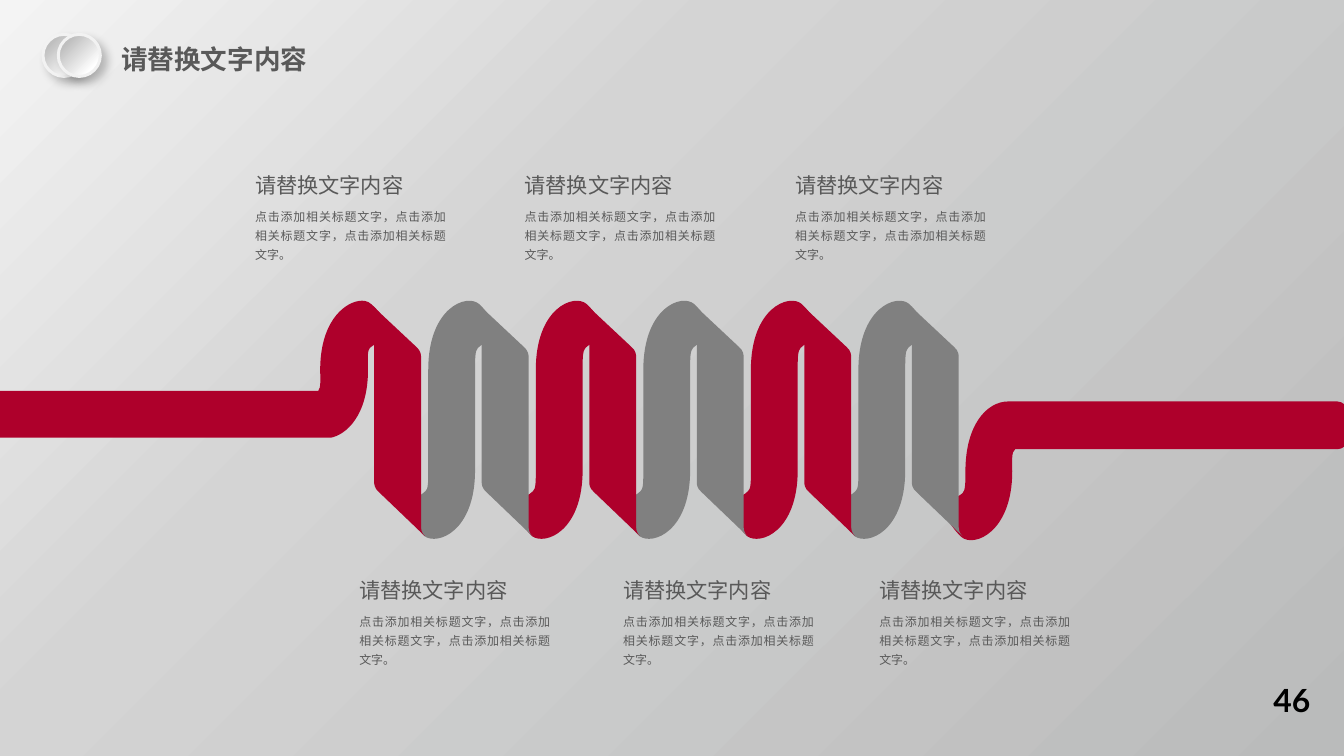
"""Build a slide with a ribbon coiled into six laps and six captions."""
from dataclasses import dataclass

from lxml.etree import SubElement
from pptx import Presentation
from pptx.dml.color import RGBColor
from pptx.dml.fill import FillFormat
from pptx.enum.shapes import MSO_SHAPE
from pptx.enum.text import PP_ALIGN
from pptx.oxml.ns import qn
from pptx.slide import Slide
from pptx.util import Inches, Pt

COLORS = {
    "red": "AE002B", "grey": "808080", "text": "595959", "black": "000000",
    "rim": "F2F2F2", "silver": "BFBFBF", "white": "FFFFFF",
    "bg_light": "F4F4F4", "bg_mid": "D4D4D4", "bg_dark": "BABBBB",
}
HEADING = "请替换文字内容"
BODY = "点击添加相关标题文字，点击添加相关标题文字，点击添加相关标题文字。"
LAPS = 6
PITCH = 4.5 / 4

Segment = tuple[float, ...]


@dataclass(frozen=True)
class Outline:
    start: tuple[float, float]
    segments: list[Segment]


@dataclass(frozen=True)
class Caption:
    left: float
    top: float


LOOP = Outline((4.97, 4.92), [
    (4.97, 3.87),
    (4.97, 3.75, 4.97, 3.67, 5, 3.64),
    (5.09, 3.55, 5.18, 3.6, 5.2, 3.53),
    (5.23, 3.44, 5.09, 3.25, 5.01, 3.18),
    (4.88, 3.07, 4.48, 3.22, 4.48, 3.87),
    (4.48, 4.92),
    (4.48, 5.04, 4.48, 5.12, 4.45, 5.14),
    (4.36, 5.23, 4.27, 5.19, 4.25, 5.25),
    (4.22, 5.34, 4.36, 5.53, 4.44, 5.61),
    (4.58, 5.71, 4.97, 5.56, 4.97, 4.92),
])
BAND = Outline((5.53, 5.52), [
    (5.53, 3.74),
    (5.53, 3.72, 5.53, 3.67, 5.48, 3.63),
    (5, 3.18),
    (5.01, 3.18, 5.04, 3.22, 5.04, 3.27),
    (5.04, 5.05),
    (5.04, 5.06, 5.04, 5.11, 5.09, 5.15),
    (5.57, 5.61),
    (5.56, 5.6, 5.53, 5.57, 5.53, 5.52),
])
LEAD = Outline((3.75, 3.15), [
    (3.8, 3.14, 3.85, 3.15, 3.88, 3.18),
    (3.97, 3.25, 4.11, 3.44, 4.08, 3.53),
    (4.06, 3.6, 3.97, 3.55, 3.87, 3.64),
    (3.84, 3.67, 3.85, 3.75, 3.85, 3.87),
    (3.85, 4.35, 3.62, 4.55, 3.46, 4.58),
    (-0.04, 4.58),
    (-0.04, 4.09),
    (3.33, 4.09),
    (3.36, 4.06, 3.35, 3.95, 3.35, 3.87),
    (3.35, 3.39, 3.58, 3.18, 3.75, 3.15),
])
TAIL = Outline((10.55, 4.2), [
    (13.99, 4.2),
    (14.05, 4.2, 14.11, 4.26, 14.11, 4.32),
    (14.11, 4.58),
    (14.11, 4.65, 14.05, 4.7, 13.99, 4.7),
    (10.62, 4.7),
    (10.58, 4.73, 10.59, 4.81, 10.59, 4.93),
    (10.59, 5.57, 10.19, 5.73, 10.06, 5.62),
    (9.98, 5.55, 9.84, 5.36, 9.87, 5.26),
    (9.89, 5.2, 9.98, 5.24, 10.07, 5.16),
    (10.1, 5.13, 10.1, 5.05, 10.1, 4.93),
    (10.1, 4.45, 10.32, 4.2, 10.55, 4.2),
])
CAPTIONS = [Caption(x, 1.75) for x in (2.57, 5.39, 8.22)]
CAPTIONS += [Caption(x, 5.99) for x in (3.66, 6.42, 9.1)]


def rgb(name: str) -> RGBColor:
    return RGBColor.from_string(COLORS[name])


def add_ribbon(s: Slide, outline: Outline, color: str, shift: float = 0) -> None:
    ends = [outline.start] + [seg[-2:] for seg in outline.segments]
    points = [(Inches(x + shift), Inches(y)) for x, y in ends]
    builder = s.shapes.build_freeform(*points[0])
    builder.add_line_segments(points[1:], close=True)
    sp = builder.convert_to_shape()
    sp.shadow.inherit = False
    sp.fill.solid()
    sp.fill.fore_color.rgb = rgb(color)
    sp.line.fill.background()
    lines = list(sp._element.iter(qn("a:lnTo")))
    for line, seg in zip(lines, outline.segments):
        if len(seg) == 2:
            continue
        curve = line.getparent().makeelement(qn("a:cubicBezTo"))
        for x, y in zip(seg[::2], seg[1::2]):
            SubElement(curve, qn("a:pt"), x=str(Inches(x + shift) - sp.left),
                       y=str(Inches(y) - sp.top))
        line.getparent().replace(line, curve)


def set_gradient(fill: FillFormat, root, stops: list[tuple[int, str]]) -> None:
    fill.gradient()
    fill.gradient_angle = 315
    gs_lst = next(root.iter(qn("a:gsLst")))
    for gs in list(gs_lst):
        gs_lst.remove(gs)
    for pos, color in stops:
        gs = SubElement(gs_lst, qn("a:gs"), pos=str(pos * 1000))
        SubElement(gs, qn("a:srgbClr"), val=COLORS[color])


def add_button(s: Slide, left: float) -> None:
    sp = s.shapes.add_shape(MSO_SHAPE.OVAL, Inches(left), Inches(0.36),
                            Inches(0.44), Inches(0.44))
    spPr = sp._element.spPr
    set_gradient(sp.fill, spPr, [(20, "silver"), (80, "white"), (100, "white")])
    sp.line.color.rgb = rgb("rim")
    sp.line.width = Pt(2.25)
    sp.shadow.inherit = False
    shadow = SubElement(spPr.find(qn("a:effectLst")), qn("a:outerShdw"),
                        blurRad=str(Pt(7)), dist=str(Pt(5.9)), dir=str(45 * 60000),
                        algn="tl", rotWithShape="0")
    clr = SubElement(shadow, qn("a:srgbClr"), val=COLORS["black"])
    SubElement(clr, qn("a:alpha"), val="23000")


def add_text(s: Slide, text: str, left: float, top: float, width: float, height: float,
             *, size: float, font: str = "Calibri", color: str = "text",
             bold: bool = False, align: PP_ALIGN = PP_ALIGN.LEFT,
             spacing: float = 1.0, wrap: bool = True) -> None:
    tf = s.shapes.add_textbox(Inches(left), Inches(top),
                              Inches(width), Inches(height)).text_frame
    tf.word_wrap = wrap
    p = tf.paragraphs[0]
    p.alignment = align
    p.line_spacing = spacing
    r = p.add_run()
    r.text = text
    r.font.size = Pt(size)
    r.font.name = font
    r.font.bold = bold
    r.font.color.rgb = rgb(color)


def main() -> None:
    prs = Presentation()
    prs.slide_width, prs.slide_height = Inches(14.06), Inches(7.91)
    s = prs.slides.add_slide(prs.slide_layouts[6])
    set_gradient(s.background.fill, s._element,
                 [(0, "bg_light"), (35, "bg_mid"), (100, "bg_dark")])

    add_ribbon(s, TAIL, "red")
    for lap in reversed(range(LAPS)):
        color = "grey" if lap % 2 else "red"
        shift = (lap - 1) * PITCH
        add_ribbon(s, LOOP if lap else LEAD, color, shift if lap else 0)
        add_ribbon(s, BAND, color, shift)

    for cap in CAPTIONS:
        add_text(s, HEADING, cap.left, cap.top, 2.04, 0.37, size=16)
        add_text(s, BODY, cap.left, cap.top + 0.35, 2.19, 0.69, size=9, font="Arial",
                 align=PP_ALIGN.JUSTIFY, spacing=1.3)

    add_text(s, HEADING, 1.17, 0.4, 2.17, 0.44, size=20, bold=True, wrap=False)
    for left in (0.45, 0.61):
        add_button(s, left)
    add_text(s, "46", 13.22, 7.07, 0.59, 0.5, size=24, font="Lato", color="black",
             bold=True, align=PP_ALIGN.CENTER)
    prs.save("out.pptx")


if __name__ == "__main__":
    main()
